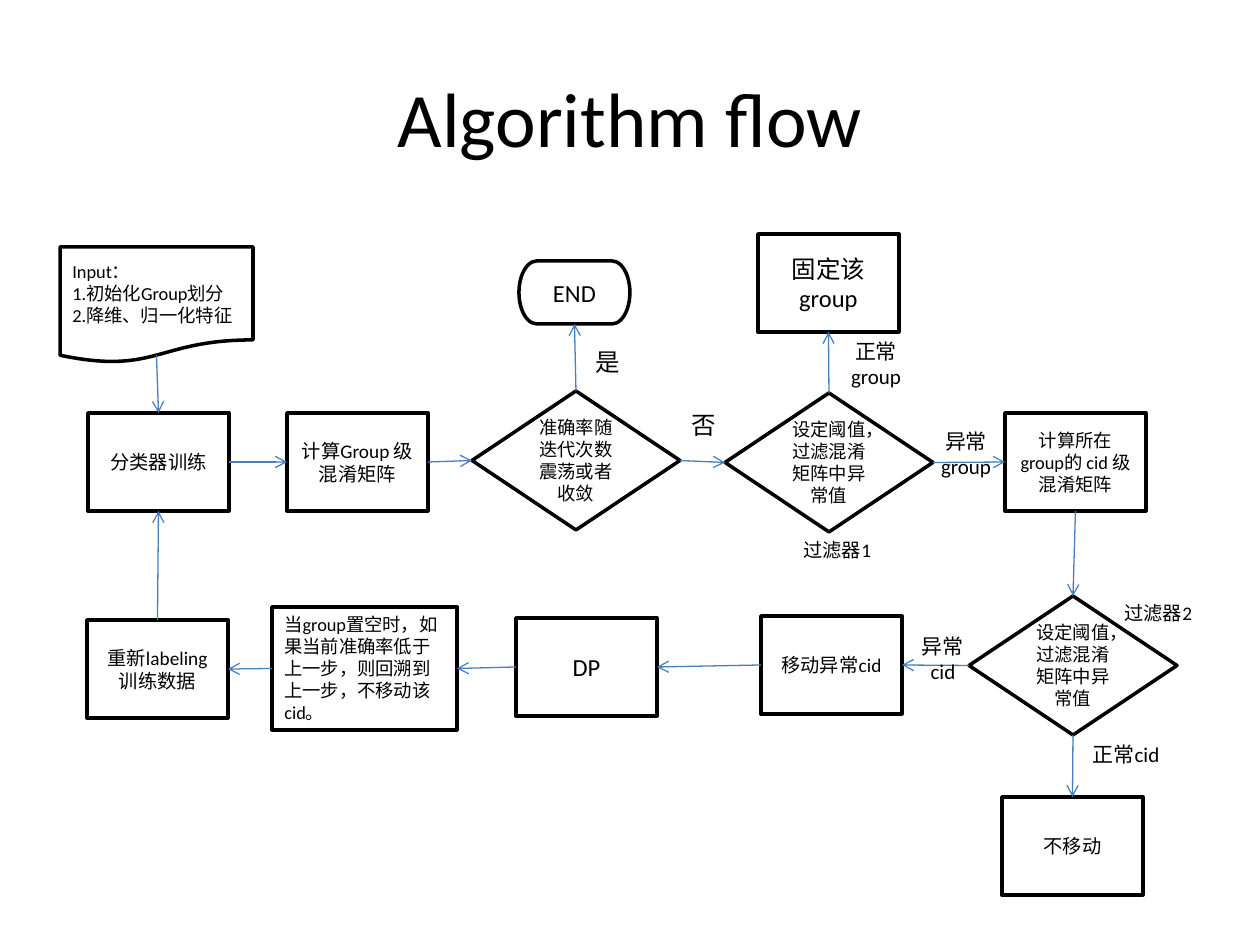
from pptx import Presentation
from pptx.dml.color import RGBColor
from pptx.enum.shapes import MSO_CONNECTOR as Conn, MSO_SHAPE as Kind
from pptx.enum.text import MSO_ANCHOR as Anchor, MSO_AUTO_SIZE as Fit, PP_ALIGN as Align
from pptx.oxml.ns import qn
from pptx.util import Emu, Pt
from lxml.etree import SubElement

HUES = {"ink": "000000", "paper": "FFFFFF", "arrow": "4B7EBC"}
TOP, LEFT, BASE, RIGHT = range(4)


class Flow:
    font = "Calibri"
    scale = 914400 / 126
    box = (141, 98)
    gem = (208, 139)

    def __init__(self, deck):
        self.slide = deck.slides.add_slide(deck.slide_layouts[5])

    def px(self, *nums):
        return [Emu(round(n * self.scale)) for n in nums]

    def hue(self, name):
        return RGBColor.from_string(HUES[name])

    def fill(self, frame, lines, size, align):
        frame.word_wrap = True
        for i, line in enumerate(lines):
            para = frame.add_paragraph() if i else frame.paragraphs[0]
            para.alignment = align
            run = para.add_run()
            run.text = line
            run.font.name = self.font
            run.font.size = Pt(size)
            run.font.color.rgb = self.hue("ink")

    def title(self, text, x, y, w, h):
        head = self.slide.shapes.title
        head.left, head.top, head.width, head.height = self.px(x, y, w, h)
        head.text_frame.vertical_anchor = Anchor.MIDDLE
        self.fill(head.text_frame, [text], 44, Align.CENTER)

    def node(self, x, y, *lines, size=11, area=box, kind=Kind.RECTANGLE, align=Align.CENTER):
        item = self.slide.shapes.add_shape(kind, *self.px(x, y, *area))
        item.shadow.inherit = False
        item.fill.solid()
        item.fill.fore_color.rgb = self.hue("paper")
        item.line.color.rgb = self.hue("ink")
        item.line.width = Pt(2)
        item.text_frame.vertical_anchor = Anchor.MIDDLE
        self.fill(item.text_frame, lines, size, align)
        return item

    def test(self, x, y, text):
        return self.node(x, y, text, size=10.5, area=self.gem, kind=Kind.FLOWCHART_DECISION)

    def label(self, x, y, w, h, text, size=12, align=Align.CENTER):
        note = self.slide.shapes.add_textbox(*self.px(x, y, w, h))
        self.fill(note.text_frame, [text], size, align)
        note.text_frame.auto_size = Fit.SHAPE_TO_FIT_TEXT

    def link(self, start, out, end, into):
        line = self.slide.shapes.add_connector(Conn.STRAIGHT, 0, 0, 0, 0)
        line.begin_connect(start, out)
        line.end_connect(end, into)
        line.line.color.rgb = self.hue("arrow")
        line.line.width = Pt(0.75)
        props = line.element.spPr
        SubElement(props.find(qn("a:ln")), qn("a:tailEnd"), type="arrow")
        SubElement(props, qn("a:effectLst"))
        return line


def main():
    deck = Presentation()
    deck.slide_width, deck.slide_height = Emu(9144000), Emu(6858000)
    flow = Flow(deck)
    flow.title("Algorithm flow", 63, 38, 1134, 158)

    data = flow.node(60, 247, "Input：", "1.初始化Group划分", "2.降维、归一化特征",
                     size=10.5, area=(193, 116), kind=Kind.FLOWCHART_DOCUMENT, align=Align.LEFT)
    train = flow.node(88, 413, "分类器训练")
    group = flow.node(287, 413, "计算Group 级混淆矩阵")
    check = flow.test(472, 391, "准确率随迭代次数震荡或者收敛")
    end = flow.node(519, 261, "END", size=14, area=(111, 63), kind=Kind.FLOWCHART_TERMINATOR)
    sift = flow.test(725, 393, "设定阈值，过滤混淆矩阵中异常值")
    fix = flow.node(758, 234, "固定该group", size=14)
    cid = flow.node(1005, 413, "计算所在group的 cid 级混淆矩阵", size=10.5)
    screen = flow.test(969, 596, "设定阈值，过滤混淆矩阵中异常值")
    stay = flow.node(1002, 797, "不移动")
    move = flow.node(761, 616, "移动异常cid")
    plan = flow.node(516, 618, "DP", size=14)
    undo = flow.node(272, 607, "当group置空时，如果当前准确率低于上一步，则回溯到上一步，不移动该cid。",
                     size=10.5, area=(185, 123), align=Align.LEFT)
    again = flow.node(87, 620, "重新labeling", "训练数据")

    feed = flow.link(data, BASE, train, TOP)
    feed.begin_y = flow.px(355)[0]
    for start, out, stop, into in (
        (train, RIGHT, group, LEFT),
        (group, RIGHT, check, LEFT),
        (check, TOP, end, BASE),
        (check, RIGHT, sift, LEFT),
        (sift, TOP, fix, BASE),
        (sift, RIGHT, cid, LEFT),
        (cid, BASE, screen, TOP),
        (screen, BASE, stay, TOP),
        (screen, LEFT, move, RIGHT),
        (move, LEFT, plan, RIGHT),
        (plan, LEFT, undo, RIGHT),
        (undo, LEFT, again, RIGHT),
        (again, TOP, train, BASE),
    ):
        flow.link(start, out, stop, into)

    flow.label(925, 422, 82, 63, "异常group")
    flow.label(835, 332, 82, 63, "正常group")
    flow.label(1076, 735, 100, 38, "正常cid")
    flow.label(902, 627, 82, 63, "异常cid")
    flow.label(791, 532, 96, 36, "过滤器1", 11, Align.LEFT)
    flow.label(1112, 595, 114, 36, "过滤器2", 11, Align.LEFT)
    flow.label(679, 404, 44, 42, "否", 14, Align.LEFT)
    flow.label(583, 341, 44, 42, "是", 14, Align.LEFT)
    deck.save("out.pptx")


if __name__ == "__main__":
    main()
